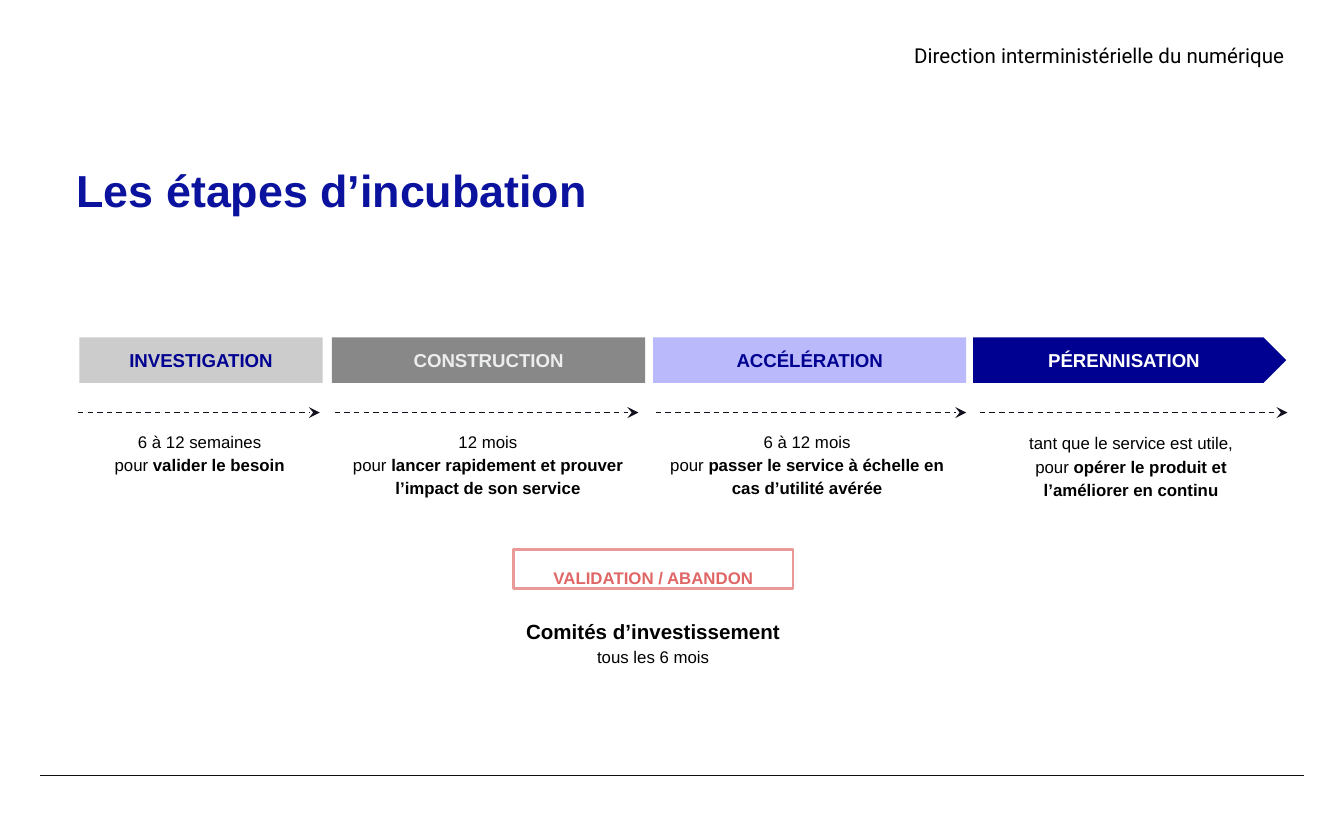
from lxml import etree
from pptx import Presentation
from pptx.dml.color import RGBColor
from pptx.enum.dml import MSO_LINE
from pptx.enum.shapes import MSO_CONNECTOR, MSO_SHAPE
from pptx.enum.text import MSO_ANCHOR, MSO_AUTO_SIZE, PP_ALIGN
from pptx.oxml.ns import qn
from pptx.util import Inches, Pt

CENTER, LEFT, RIGHT = PP_ALIGN.CENTER, PP_ALIGN.LEFT, PP_ALIGN.RIGHT
TOP, MIDDLE = MSO_ANCHOR.TOP, MSO_ANCHOR.MIDDLE
RECTANGLE, PENTAGON = MSO_SHAPE.RECTANGLE, MSO_SHAPE.PENTAGON

BLACK = RGBColor(0x00, 0x00, 0x00)
WHITE = RGBColor(0xFF, 0xFF, 0xFF)
NAVY = RGBColor(0x00, 0x00, 0x91)
TITLE_BLUE = RGBColor(0x0B, 0x13, 0x9E)
LAVENDER = RGBColor(0xB9, 0xB9, 0xFB)
LIGHT_GRAY = RGBColor(0xCC, 0xCC, 0xCC)
MID_GRAY = RGBColor(0x88, 0x88, 0x88)
PALE_GRAY = RGBColor(0xEC, 0xED, 0xEE)
ARROW_INK = RGBColor(0x12, 0x12, 0x1E)
RULE_INK = RGBColor(0x0E, 0x0E, 0x13)
PINK = RGBColor(0xEA, 0x99, 0x99)
RED = RGBColor(0xE0, 0x66, 0x66)

SLIDE_WIDTH, SLIDE_HEIGHT = 10, 6.25
BAR_TOP, BAR_HEIGHT = 2.51, 0.34
ARROW_Y, RULE_Y, RULE_MARGIN = 3.07, 5.77, 0.3

TITLE = "Les étapes d’incubation"
HEADER = "Direction interministérielle du numérique"
STAGES = [
    {"name": "INVESTIGATION", "shape": RECTANGLE, "fill": LIGHT_GRAY, "color": NAVY,
     "bar": (0.59, 1.81), "arrow": (0.58, 2.38), "note": (0.78, 3.13, 1.41, 0.77),
     "duration": "6 à 12 semaines", "goal": "valider le besoin"},
    {"name": "CONSTRUCTION", "shape": RECTANGLE, "fill": MID_GRAY, "color": PALE_GRAY,
     "bar": (2.47, 2.33), "arrow": (2.49, 4.75), "note": (2.42, 3.13, 2.42, 0.8),
     "duration": "12 mois", "goal": "lancer rapidement et prouver l’impact de son service"},
    {"name": "ACCÉLÉRATION", "shape": RECTANGLE, "fill": LAVENDER, "color": NAVY,
     "bar": (4.86, 2.33), "arrow": (4.88, 7.19), "note": (4.89, 3.13, 2.23, 0.8),
     "duration": "6 à 12 mois", "goal": "passer le service à échelle en cas d’utilité avérée"},
    {"name": "PÉRENNISATION", "shape": PENTAGON, "fill": NAVY, "color": WHITE,
     "bar": (7.24, 2.33), "arrow": (7.29, 9.58), "note": (7.42, 3.14, 1.99, 0.77),
     "duration": "tant que le service est utile,", "goal": "opérer le produit et l’améliorer en continu"},
]
DECISION = "VALIDATION / ABANDON"
COMMITTEE = ("Comités d’investissement", "tous les 6 mois")


def place(shape, left, top, width, height):
    shape.left, shape.top = Inches(left), Inches(top)
    shape.width, shape.height = Inches(width), Inches(height)


def prepare_frame(shape, inset, anchor=TOP):
    frame = shape.text_frame
    frame.word_wrap = True
    frame.auto_size = MSO_AUTO_SIZE.NONE
    frame.vertical_anchor = anchor
    frame.margin_left = frame.margin_right = Inches(inset)
    frame.margin_top = frame.margin_bottom = Inches(inset)
    return frame


def write(paragraph, runs, size, color=BLACK, bold=False, align=CENTER, spacing=1.0, font="Arial"):
    for text, run_bold in runs:
        run = paragraph.add_run()
        run.text = text
        if run_bold is not None:
            run.font.bold = run_bold
    paragraph.alignment = align
    paragraph.line_spacing = spacing
    paragraph.font.name = font
    paragraph.font.size = Pt(size)
    paragraph.font.bold = bold
    paragraph.font.color.rgb = color


def add_box(slide, kind, left, top, width, height, fill=None, outline=None):
    shape = slide.shapes.add_shape(
        kind, Inches(left), Inches(top), Inches(width), Inches(height))
    shape.shadow.inherit = False
    if fill is None:
        shape.fill.background()
    else:
        shape.fill.solid()
        shape.fill.fore_color.rgb = fill
    if outline is None:
        shape.line.fill.background()
    else:
        shape.line.color.rgb = outline
        shape.line.width = Pt(1.5)
    return shape


def add_text(slide, area, inset):
    shape = slide.shapes.add_textbox(*(Inches(length) for length in area))
    return prepare_frame(shape, inset)


def add_line(slide, start, end, y, color, arrow=False):
    line = slide.shapes.add_connector(
        MSO_CONNECTOR.STRAIGHT, Inches(start), Inches(y), Inches(end), Inches(y))
    line.line.color.rgb = color
    line.line.width = Pt(0.75)
    if arrow:
        line.line.dash_style = MSO_LINE.DASH
        etree.SubElement(line.line._get_or_add_ln(), qn("a:tailEnd"), type="stealth")
    etree.SubElement(line._element.spPr, qn("a:effectLst"))


def add_stage(slide, stage):
    left, width = stage["bar"]
    bar = add_box(slide, stage["shape"], left, BAR_TOP, width, BAR_HEIGHT, stage["fill"])
    frame = prepare_frame(bar, 0.03, MIDDLE)
    write(frame.paragraphs[0], [(stage["name"], None)], 10, stage["color"], True)
    add_line(slide, *stage["arrow"], ARROW_Y, ARROW_INK, arrow=True)
    frame = add_text(slide, stage["note"], 0.06)
    write(frame.paragraphs[0], [(stage["duration"], None)], 9, spacing=1.15)
    write(frame.add_paragraph(), [("pour ", None), (stage["goal"], True)], 9, spacing=1.15)


def main():
    presentation = Presentation()
    presentation.slide_width = Inches(SLIDE_WIDTH)
    presentation.slide_height = Inches(SLIDE_HEIGHT)
    slide = presentation.slides.add_slide(presentation.slide_layouts[5])

    title = slide.shapes.title
    place(title, 0.54, 1.18, 6.85, 0.61)
    frame = prepare_frame(title, 0.03)
    write(frame.paragraphs[0], [(TITLE, None)], 24, TITLE_BLUE, True, LEFT)

    frame = add_text(slide, (4.62, 0.28, 4.98, 0.29), 0.04)
    write(frame.paragraphs[0], [(HEADER, None)], 11, align=RIGHT, font="Roboto")

    for stage in STAGES:
        add_stage(slide, stage)

    decision = add_box(slide, RECTANGLE, 3.82, 4.09, 2.08, 0.29, outline=PINK)
    frame = prepare_frame(decision, 0.06)
    write(frame.paragraphs[0], [(DECISION, None)], 9, RED, True, spacing=1.5)

    name, rhythm = COMMITTEE
    frame = add_text(slide, (3.46, 4.52, 2.8, 0.65), 0.06)
    write(frame.paragraphs[0], [(name, None)], 11, bold=True, spacing=1.15)
    write(frame.add_paragraph(), [(rhythm, None)], 9, spacing=1.15)

    add_line(slide, RULE_MARGIN, SLIDE_WIDTH - RULE_MARGIN, RULE_Y, RULE_INK)
    presentation.save("out.pptx")


if __name__ == "__main__":
    main()
